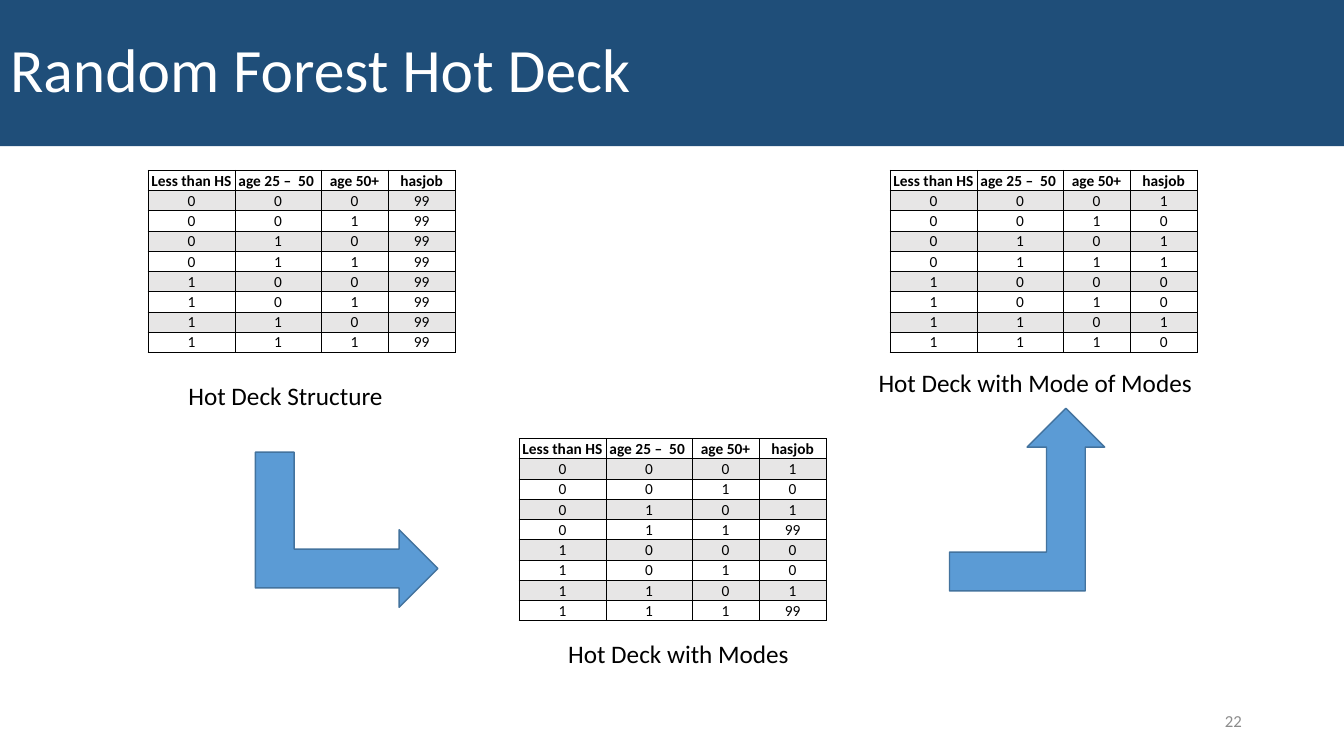
from itertools import product

from lxml import etree
from pptx import Presentation
from pptx.dml.color import RGBColor
from pptx.enum.shapes import MSO_SHAPE
from pptx.enum.text import MSO_ANCHOR, MSO_AUTO_SIZE, PP_ALIGN
from pptx.oxml.ns import qn
from pptx.util import Cm, Pt

NAVY = RGBColor(0x1F, 0x4E, 0x79)
BLUE = RGBColor(0x5B, 0x9B, 0xD5)
EDGE = RGBColor(0x43, 0x73, 0x9E)
BAND = RGBColor(0xE7, 0xE6, 0xE6)
GRAY = RGBColor(0x8C, 0x8C, 0x8C)
BLACK = RGBColor(0, 0, 0)
WHITE = RGBColor(255, 255, 255)

LEFT, CENTER, RIGHT = PP_ALIGN.LEFT, PP_ALIGN.CENTER, PP_ALIGN.RIGHT
TOP, MIDDLE = MSO_ANCHOR.TOP, MSO_ANCHOR.MIDDLE
NO_FIT = MSO_AUTO_SIZE.NONE
BENT = MSO_SHAPE.BENT_UP_ARROW

HEADS = ("Less than HS", "age 25 –  50 ", "age 50+", "hasjob")
WIDTHS = (2.19, 2.17, 1.69, 1.69)
ROW = 0.51
DECKS = (
    (3.73, 4.29, (99,) * 8),
    (13.08, 11.05, (1, 0, 1, 99, 0, 0, 1, 99)),
    (22.43, 4.29, (1, 0, 1, 1, 0, 0, 1, 0)),
)
LABELS = (
    ("Hot Deck Structure", 4.5, 9.47, 6.2),
    ("Hot Deck with Modes", 14.07, 15.95, 6.2),
    ("Hot Deck with Mode of Modes", 21.89, 9.12, 8.76),
)
ARROWS = ((6.78, 11.05, 90), (23.93, 10.29, 0))


class Deck:
    font = "Calibri"

    def __init__(self, slide):
        self.slide = slide
        self.shapes = slide.shapes

    def style(self, frame, size, color, align=LEFT, bold=False):
        for para in frame.paragraphs:
            para.alignment = align
            for run in para.runs:
                font = run.font
                font.name, font.size, font.bold = self.font, Pt(size), bold
                font.color.rgb = color

    def title(self, text):
        bar = self.shapes.title
        bar.left, bar.top, bar.width, bar.height = Cm(0), Cm(0), Cm(33.87), Cm(3.68)
        bar.fill.solid()
        bar.fill.fore_color.rgb = NAVY
        frame = bar.text_frame
        frame.text = text
        frame.auto_size = NO_FIT
        frame.vertical_anchor = MIDDLE
        frame.paragraphs[0].line_spacing = 0.9
        self.style(frame, 44, WHITE)

    def text(self, text, x, y, w, size=18, color=BLACK, align=LEFT, anchor=TOP):
        box = self.shapes.add_textbox(Cm(x), Cm(y), Cm(w), Cm(1.02))
        frame = box.text_frame
        frame.word_wrap = True
        frame.vertical_anchor = anchor
        frame.text = text
        self.style(frame, size, color, align)

    def border(self, cell):
        props = cell._tc.get_or_add_tcPr()
        for side in ("lnL", "lnR", "lnT", "lnB"):
            line = etree.SubElement(props, qn("a:" + side), w=str(Pt(0.5)))
            fill = etree.SubElement(line, qn("a:solidFill"))
            etree.SubElement(fill, qn("a:srgbClr"), val=str(BLACK))

    def cell(self, cell, text, head, band):
        cell.text = str(text)
        cell.vertical_anchor = MIDDLE
        cell.margin_left = cell.margin_right = cell.margin_top = Cm(0.02)
        cell.margin_bottom = Cm(0)
        self.style(cell.text_frame, 11, BLACK, CENTER, head)
        self.border(cell)
        if band:
            cell.fill.solid()
            cell.fill.fore_color.rgb = BAND
        else:
            cell.fill.background()

    def table(self, x, y, jobs):
        """Add every 0/1 combination of the three traits with its job value."""
        rows = [HEADS] + [bits + (job,) for bits, job in zip(product((0, 1), repeat=3), jobs)]
        grid = self.shapes.add_table(
            len(rows), len(HEADS), Cm(x), Cm(y), Cm(sum(WIDTHS)), Cm(ROW * len(rows))
        ).table
        grid.first_row = grid.horz_banding = False
        for col, width in zip(grid.columns, WIDTHS):
            col.width = Cm(width)
        for r, row in enumerate(rows):
            grid.rows[r].height = Cm(ROW)
            for c, value in enumerate(row):
                self.cell(grid.cell(r, c), value, r == 0, r % 2 == 1)

    def arrow(self, x, y, turn):
        shape = self.shapes.add_shape(BENT, Cm(x), Cm(y), Cm(3.91), Cm(4.6))
        shape.rotation = turn
        shape.shadow.inherit = False
        shape.fill.solid()
        shape.fill.fore_color.rgb = BLUE
        shape.line.color.rgb = EDGE
        shape.line.width = Pt(1)


def main():
    prs = Presentation()
    prs.slide_width, prs.slide_height = Cm(33.87), Cm(19.05)
    deck = Deck(prs.slides.add_slide(prs.slide_layouts[5]))
    deck.title("Random Forest Hot Deck")
    deck.text("22", 23.93, 17.65, 7.62, 12, GRAY, RIGHT, MIDDLE)
    for spot in DECKS:
        deck.table(*spot)
    for label in LABELS:
        deck.text(*label)
    for spot in ARROWS:
        deck.arrow(*spot)
    prs.save("out.pptx")


if __name__ == "__main__":
    main()
